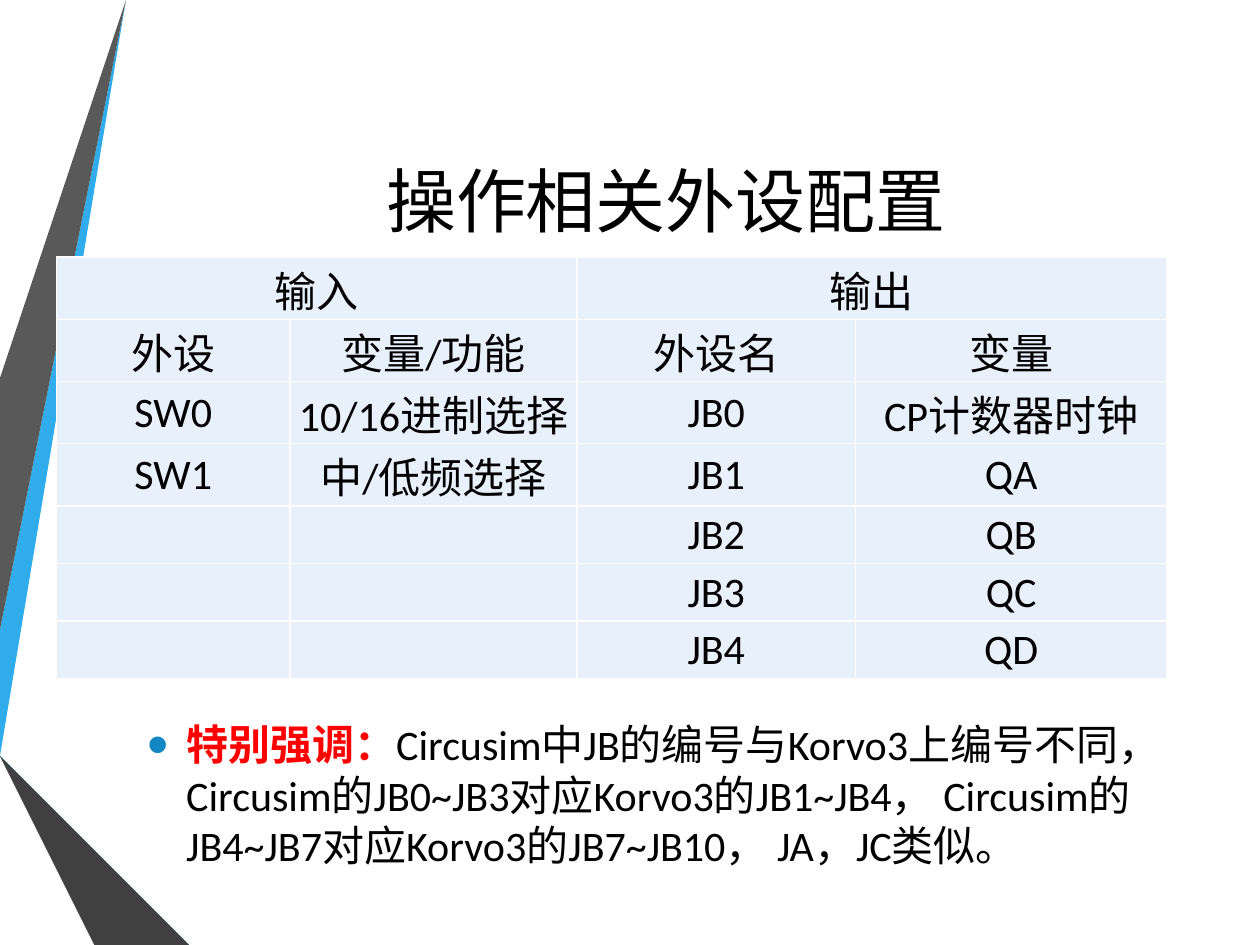
from lxml import etree
from pptx import Presentation
from pptx.dml.color import RGBColor
from pptx.enum.text import MSO_ANCHOR, PP_ALIGN
from pptx.oxml.ns import qn
from pptx.util import Inches, Pt

BLACK = RGBColor(0x00, 0x00, 0x00)
RED = RGBColor(0xFF, 0x00, 0x00)
SKY = RGBColor(0x30, 0xAC, 0xEC)
BLUE = RGBColor(0x12, 0x87, 0xC3)
DARK_BLUE = RGBColor(0x0C, 0x5A, 0x82)
GRAY = RGBColor(0x59, 0x59, 0x59)
DARK_GRAY = RGBColor(0x40, 0x40, 0x40)
CHARCOAL = RGBColor(0x26, 0x26, 0x26)
PALE_BLUE = RGBColor(0xE8, 0xF1, 0xFB)
WHITE = RGBColor(0xFF, 0xFF, 0xFF)


def set_font(font, size, color):
    font.name = "Calibri"
    font.size = Pt(size)
    font.color.rgb = color


def add_text_area(left, top, width, height):
    frame = slide.shapes.add_textbox(
        Inches(left), Inches(top), Inches(width), Inches(height)).text_frame
    frame.word_wrap = True
    frame.vertical_anchor = MSO_ANCHOR.MIDDLE
    return frame.paragraphs[0]


presentation = Presentation()
presentation.slide_width = Inches(10)
presentation.slide_height = Inches(7.5)
slide = presentation.slides.add_slide(presentation.slide_layouts[6])

ribbons = [
    (SKY, [(0, 5.44), (0, 5.75), (0.22, 5.79), (1.17, 0), (0.89, 0)]),
    (GRAY, [(0.83, 0), (0.55, 0), (0, 3.36), (0, 5.06)]),
    (CHARCOAL, [(0, 6.19), (0, 6.21), (0.93, 7.5), (0.99, 7.5)]),
    (DARK_BLUE, [(0, 5.79), (0, 5.8), (1.56, 7.5), (1.63, 7.5)]),
    (BLUE, [(0, 5.79), (1.63, 7.5), (2.33, 7.5), (0.22, 5.79), (0, 5.75)]),
    (DARK_GRAY, [(0, 6.19), (0.99, 7.5), (1.51, 7.5), (0, 5.86)]),
]
for color, points in ribbons:
    builder = slide.shapes.build_freeform(*points[0], scale=Inches(1))
    builder.add_line_segments(points[1:], close=True)
    shape = builder.convert_to_shape()
    shape.shadow.inherit = False
    shape.fill.solid()
    shape.fill.fore_color.rgb = color
    shape.line.fill.background()

rows = [
    ("输入", "", "输出", ""),
    ("外设", "变量/功能", "外设名", "变量"),
    ("SW0", "10/16进制选择", "JB0", "CP计数器时钟"),
    ("SW1", "中/低频选择", "JB1", "QA"),
    ("", "", "JB2", "QB"),
    ("", "", "JB3", "QC"),
    ("", "", "JB4", "QD"),
]
table = slide.shapes.add_table(
    len(rows), 4, Inches(0.45), Inches(2.04), Inches(8.82), Inches(3.2)).table
for column, width in zip(table.columns, (1.85, 2.28, 2.21, 2.47)):
    column.width = Inches(width)
for row_index, row in enumerate(rows):
    for column_index, label in enumerate(row):
        cell = table.cell(row_index, column_index)
        cell.margin_left = cell.margin_right = cell.margin_top = Inches(0.01)
        cell.margin_bottom = 0
        cell.vertical_anchor = MSO_ANCHOR.MIDDLE
        cell.fill.solid()
        cell.fill.fore_color.rgb = PALE_BLUE
        paragraph = cell.text_frame.paragraphs[0]
        paragraph.text = label
        paragraph.alignment = PP_ALIGN.CENTER
        set_font(paragraph.font, 24, BLACK)
        properties = cell._tc.get_or_add_tcPr()
        for position, side in enumerate(("lnL", "lnR", "lnT", "lnB")):
            border = etree.Element(qn("a:" + side), w=str(Pt(1)))
            fill = etree.SubElement(border, qn("a:solidFill"))
            etree.SubElement(fill, qn("a:srgbClr"), val=str(WHITE))
            properties.insert(position, border)
for column_index in (0, 2):
    table.cell(0, column_index).merge(table.cell(0, column_index + 1))

title = add_text_area(1.07, 0.5, 8.43, 2.17)
title.text = "操作相关外设配置"
title.alignment = PP_ALIGN.CENTER
set_font(title.font, 40, BLACK)

note = add_text_area(1.07, 5.52, 8.73, 1.57)
note.space_before = Pt(4.8)
note.space_after = Pt(6)
emphasis = note.add_run()
emphasis.text = "特别强调："
emphasis.font.bold = True
set_font(emphasis.font, 24, RED)
explanation = note.add_run()
explanation.text = (
    "Circusim中JB的编号与Korvo3上编号不同， "
    "Circusim的JB0~JB3对应Korvo3的JB1~JB4， "
    "Circusim的JB4~JB7对应Korvo3的JB7~JB10， JA，JC类似。")
set_font(explanation.font, 24, BLACK)
properties = note._p.get_or_add_pPr()
properties.set("marL", str(Inches(0.31)))
properties.set("indent", str(-Inches(0.31)))
bullet_color = etree.SubElement(properties, qn("a:buClr"))
etree.SubElement(bullet_color, qn("a:srgbClr"), val=str(BLUE))
etree.SubElement(properties, qn("a:buSzPct"), val="145000")
etree.SubElement(properties, qn("a:buFont"), typeface="Arial")
etree.SubElement(properties, qn("a:buChar"), char="•")

presentation.save("out.pptx")
